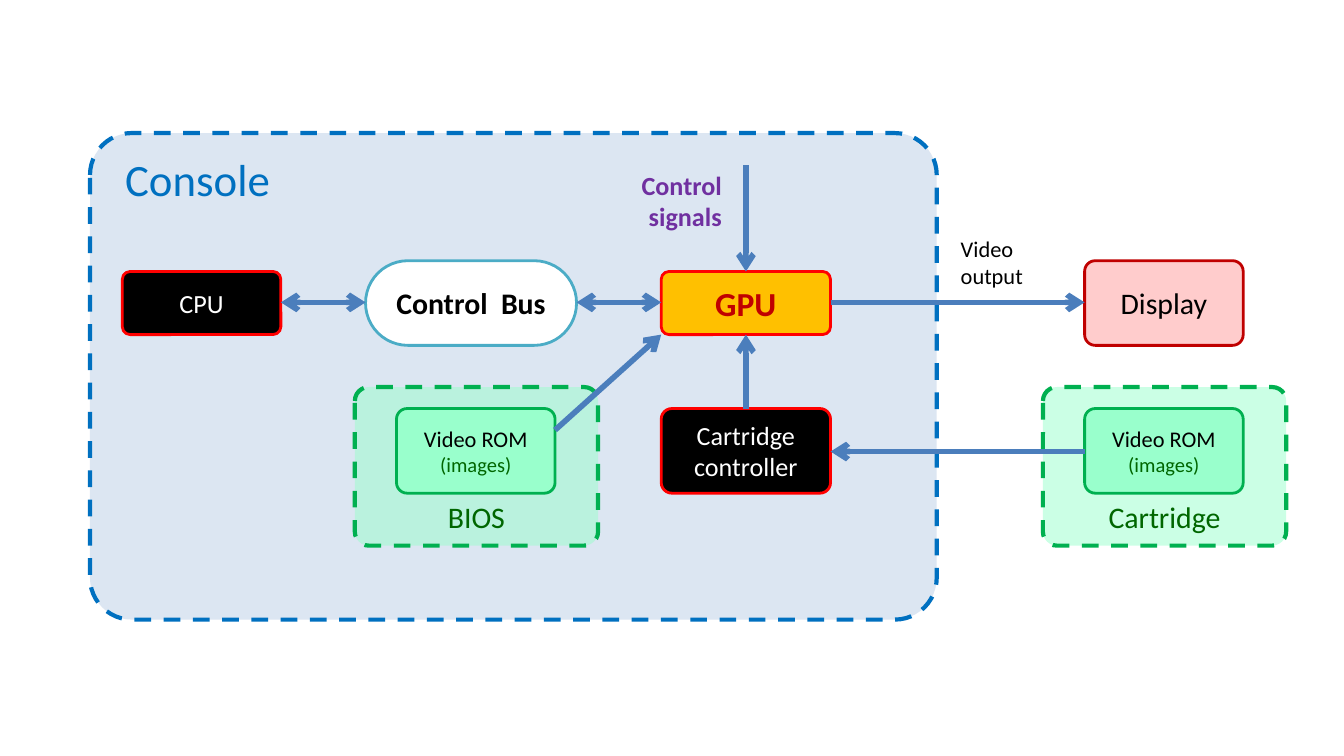
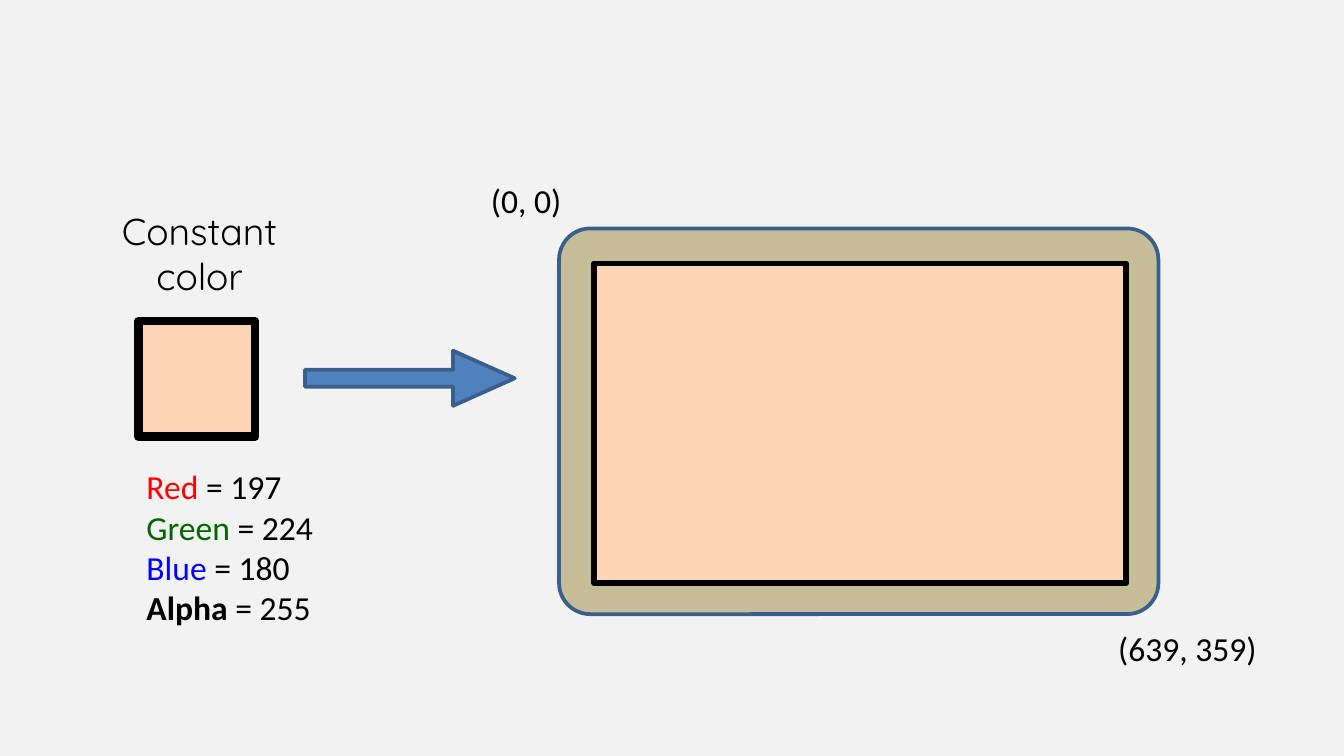
"""Build two slides: a console video block diagram and a constant-colour fill."""
from dataclasses import dataclass
from typing import NamedTuple, Optional

from lxml.etree import SubElement
from pptx import Presentation
from pptx.dml.color import RGBColor
from pptx.enum.dml import MSO_LINE
from pptx.enum.shapes import MSO_CONNECTOR, MSO_SHAPE
from pptx.enum.text import MSO_ANCHOR, MSO_AUTO_SIZE, PP_ALIGN
from pptx.oxml.ns import qn
from pptx.util import Inches, Pt

BLACK = RGBColor(0x00, 0x00, 0x00)
WHITE = RGBColor(0xFF, 0xFF, 0xFF)
RED = RGBColor(0xFF, 0x00, 0x00)
BLUE = RGBColor(0x00, 0x00, 0xFF)
DARK_RED = RGBColor(0xC0, 0x00, 0x00)
DARK_GREEN = RGBColor(0x00, 0x66, 0x00)
GREEN = RGBColor(0x00, 0xB0, 0x50)
MINT = RGBColor(0x99, 0xFF, 0xCC)
PINK = RGBColor(0xFF, 0xCC, 0xCC)
AMBER = RGBColor(0xFF, 0xC0, 0x00)
PURPLE = RGBColor(0x70, 0x30, 0xA0)
TEAL = RGBColor(0x4B, 0xAC, 0xC6)
CONSOLE_FILL = RGBColor(0xDC, 0xE6, 0xF2)
CONSOLE_BLUE = RGBColor(0x00, 0x70, 0xC0)
WIRE_BLUE = RGBColor(0x4B, 0x7E, 0xBC)
ARROW_FILL = RGBColor(0x4F, 0x81, 0xBD)
EDGE_BLUE = RGBColor(0x3A, 0x5F, 0x8C)
TAN = RGBColor(0xC4, 0xBD, 0x97)
PEACH = RGBColor(0xFC, 0xD5, 0xB5)
PALE_GREY = RGBColor(0xF2, 0xF2, 0xF2)

PAGE_WIDTH = Inches(10)
PAGE_HEIGHT = PAGE_WIDTH * 9 // 16
BODY_FONT = "Calibri"
LABEL_FONT = "Quicksand"
LEFT, CENTER, RIGHT = PP_ALIGN.LEFT, PP_ALIGN.CENTER, PP_ALIGN.RIGHT
TOP, MIDDLE, BOTTOM = MSO_ANCHOR.TOP, MSO_ANCHOR.MIDDLE, MSO_ANCHOR.BOTTOM
ROUNDED, RECTANGLE = MSO_SHAPE.ROUNDED_RECTANGLE, MSO_SHAPE.RECTANGLE


class Frame(NamedTuple):
    """Position and size in inches."""
    left: float
    top: float
    width: float
    height: float

    def lengths(self):
        """Return the four values as lengths."""
        return [Inches(value) for value in self]


class Span(NamedTuple):
    """A piece of text in one format."""
    text: str
    size: float
    color: RGBColor = BLACK
    bold: bool = False
    font: str = BODY_FONT


@dataclass
class Block:
    """A filled and outlined shape, with optional text."""
    frame: Frame
    fill: RGBColor
    line: RGBColor
    paragraphs: tuple = ()
    weight: float = 1.5
    kind: int = ROUNDED
    adjust: tuple = (0.125,)
    dashed: bool = False
    alpha: Optional[int] = None
    anchor: int = MIDDLE
    align: int = CENTER
    indent: float = 0.1


@dataclass
class Label:
    """A free text box."""
    frame: Frame
    paragraphs: tuple
    align: int = LEFT
    insets: tuple = (0.1, 0.05)


class Wire(NamedTuple):
    """An arrow between two points, in inches."""
    start: tuple
    end: tuple
    both_ways: bool = False


def write(frame, paragraphs, align) -> None:
    """Fill a text frame with paragraphs made of spans."""
    frame.word_wrap = True
    for index, spans in enumerate(paragraphs):
        paragraph = frame.add_paragraph() if index else frame.paragraphs[0]
        paragraph.alignment = align
        for span in spans:
            run = paragraph.add_run()
            run.text = span.text
            run.font.name = span.font
            run.font.size = Pt(span.size)
            run.font.bold = span.bold
            run.font.color.rgb = span.color


def draw_block(page, block: Block) -> None:
    """Draw one block."""
    shape = page.shapes.add_shape(block.kind, *block.frame.lengths())
    shape.shadow.inherit = False
    if block.kind != RECTANGLE:
        for index, value in enumerate(block.adjust):
            shape.adjustments[index] = value
    shape.fill.solid()
    shape.fill.fore_color.rgb = block.fill
    if block.alpha is not None:
        color = shape.fill._xPr.find(qn("a:solidFill"))[0]
        SubElement(color, qn("a:alpha")).set("val", str(block.alpha * 1000))
    shape.line.color.rgb = block.line
    shape.line.width = Pt(block.weight)
    if block.dashed:
        shape.line.dash_style = MSO_LINE.DASH
    frame = shape.text_frame
    frame.vertical_anchor = block.anchor
    frame.margin_left = Inches(block.indent)
    write(frame, block.paragraphs, block.align)


def draw_label(page, label: Label) -> None:
    """Draw one text box."""
    box = page.shapes.add_textbox(*label.frame.lengths())
    frame = box.text_frame
    side, edge = label.insets
    frame.margin_left = frame.margin_right = Inches(side)
    frame.margin_top = frame.margin_bottom = Inches(edge)
    write(frame, label.paragraphs, label.align)
    frame.auto_size = MSO_AUTO_SIZE.SHAPE_TO_FIT_TEXT


def draw_wire(page, wire: Wire) -> None:
    """Draw one arrow."""
    points = [Inches(value) for value in (*wire.start, *wire.end)]
    connector = page.shapes.add_connector(MSO_CONNECTOR.STRAIGHT, *points)
    connector.line.color.rgb = WIRE_BLUE
    connector.line.width = Pt(3)
    outline = connector.line._get_or_add_ln()
    for end in ("a:headEnd", "a:tailEnd") if wire.both_ways else ("a:tailEnd",):
        SubElement(outline, qn(end)).set("type", "arrow")
    SubElement(connector._element.spPr, qn("a:effectLst"))


def add_page(deck, background: RGBColor):
    """Add a blank slide with a plain background."""
    page = deck.slides.add_slide(deck.slide_layouts[6])
    page.background.fill.solid()
    page.background.fill.fore_color.rgb = background
    return page


def draw_holder(page, left: float, name: str) -> None:
    """Draw the dashed case that holds a video ROM."""
    draw_block(page, Block(Frame(left, 2.88, 1.81, 1.18), MINT, GREEN,
                           ((Span(name, 16, DARK_GREEN),),), weight=2.25,
                           adjust=(0.088,), dashed=True, alpha=50,
                           anchor=BOTTOM))


def draw_rom(page, holder_left: float) -> None:
    """Draw the video ROM inside its case."""
    draw_block(page, Block(Frame(holder_left + 0.31, 3.04, 1.18, 0.63),
                           MINT, GREEN,
                           ((Span("Video ROM", 12),),
                            (Span("(images)", 11, DARK_GREEN),))))


def build_console(deck) -> None:
    """Build the console block diagram."""
    page = add_page(deck, WHITE)
    bios, cartridge = 2.64, 7.76
    bus_y, cartridge_y, gpu_x = 2.25, 3.36, 5.55
    gpu_left, gpu_right, gpu_bottom = 4.92, 6.18, 2.49

    draw_holder(page, cartridge, "Cartridge")
    draw_block(page, Block(Frame(0.67, 0.99, 6.3, 3.62), CONSOLE_FILL,
                           CONSOLE_BLUE,
                           ((Span("Console", 24, CONSOLE_BLUE),),),
                           weight=2.25, adjust=(0.086,), dashed=True,
                           anchor=TOP, align=LEFT, indent=0.17))
    draw_holder(page, bios, "BIOS")
    for holder in (bios, cartridge):
        draw_rom(page, holder)

    for block in (
        Block(Frame(gpu_left, 2.02, 1.26, 0.47), AMBER, RED,
              ((Span("GPU", 18, DARK_RED, True),),)),
        Block(Frame(0.91, 2.02, 1.18, 0.47), BLACK, RED,
              ((Span("CPU", 14, WHITE),),)),
        Block(Frame(8.07, 1.94, 1.18, 0.63), PINK, DARK_RED,
              ((Span("Display", 16),),)),
        Block(Frame(2.72, 1.94, 1.57, 0.63), WHITE, TEAL,
              ((Span("Control  Bus", 16, BLACK, True),),), adjust=(0.5,)),
        Block(Frame(gpu_left, 3.04, 1.26, 0.63), BLACK, RED,
              ((Span("Cartridge controller", 14, WHITE),),)),
    ):
        draw_block(page, block)

    for wire in (
        Wire((gpu_x, 3.04), (gpu_x, gpu_bottom)),
        Wire((gpu_right, bus_y), (8.07, bus_y)),
        Wire((2.09, bus_y), (2.72, bus_y), True),
        Wire((gpu_x, 1.23), (gpu_x, 2.02)),
        Wire((4.29, bus_y), (gpu_left, bus_y), True),
        Wire((8.07, cartridge_y), (gpu_right, cartridge_y)),
        Wire((4.13, 3.2), (gpu_left, gpu_bottom)),
    ):
        draw_wire(page, wire)

    draw_label(page, Label(Frame(7.05, 1.7, 0.79, 0.5),
                           ((Span("Video output", 12),),)))
    draw_label(page, Label(Frame(4.53, 1.21, 0.94, 0.57),
                           ((Span("Control signals", 14, PURPLE, True),),),
                           RIGHT))


def build_constant_color(deck) -> None:
    """Build the slide on filling the screen with one colour."""
    page = add_page(deck, PALE_GREY)
    for block in (
        Block(Frame(4.16, 1.7, 4.46, 2.87), TAN, EDGE_BLUE, weight=2,
              adjust=(0.081,)),
        Block(Frame(1.03, 2.39, 0.87, 0.86), PEACH, BLACK, weight=4.5,
              kind=RECTANGLE),
        Block(Frame(2.27, 2.61, 1.56, 0.41), ARROW_FILL, EDGE_BLUE, weight=2,
              kind=MSO_SHAPE.RIGHT_ARROW, adjust=(0.31, 1.119)),
        Block(Frame(4.42, 1.96, 3.96, 2.38), PEACH, BLACK, weight=3,
              kind=RECTANGLE),
    ):
        draw_block(page, block)

    channels = (("Red", RED, 197), ("Green", DARK_GREEN, 224),
                ("Blue", BLUE, 180), ("Alpha", BLACK, 255))
    values = tuple((Span(name, 18, color, name == "Alpha"),
                    Span(f" = {value}", 18))
                   for name, color, value in channels)
    title = tuple((Span(word, 20, font=LABEL_FONT),)
                  for word in ("Constant", "color"))
    for frame, paragraphs, align in (
        (Frame(3.56, 1.3, 0.71, 0.38), ((Span("(0, 0)", 18),),), CENTER),
        (Frame(8.16, 4.63, 1.35, 0.38), ((Span("(639, 359)", 18),),), CENTER),
        (Frame(0.62, 1.51, 1.73, 0.75), title, CENTER),
        (Frame(1.02, 3.43, 2.16, 1.29), values, LEFT),
    ):
        draw_label(page, Label(frame, paragraphs, align, (0.07, 0.04)))


def main() -> None:
    """Build and save the deck."""
    deck = Presentation()
    deck.slide_width, deck.slide_height = PAGE_WIDTH, PAGE_HEIGHT
    build_console(deck)
    build_constant_color(deck)
    deck.save("out.pptx")


main()
